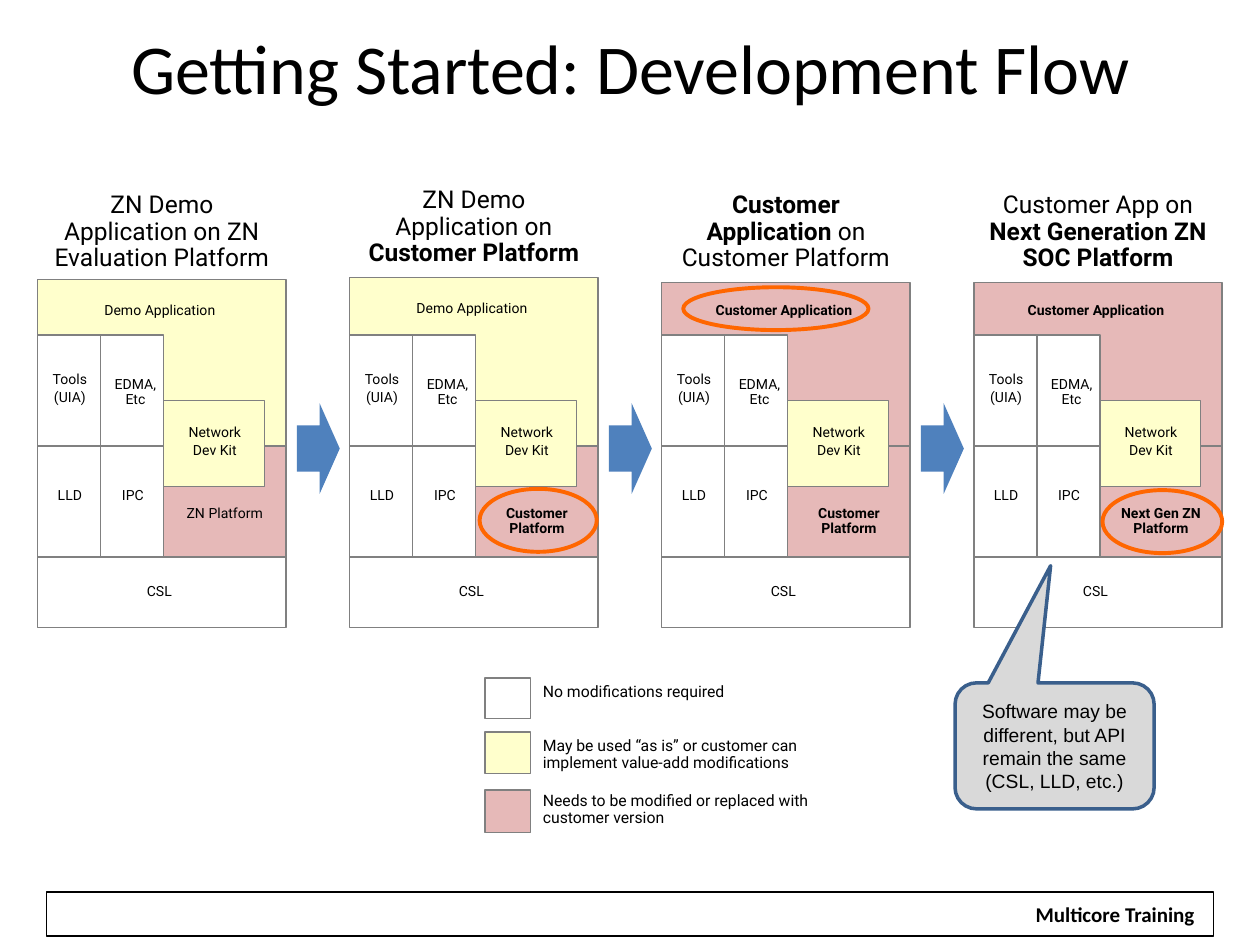
from dataclasses import dataclass

from pptx import Presentation
from pptx.dml.color import RGBColor
from pptx.enum.shapes import MSO_SHAPE as Shape
from pptx.enum.text import MSO_ANCHOR as Anchor, PP_ALIGN as Align
from pptx.util import Inches, Pt


@dataclass(frozen=True)
class Theme:
    black: str = "000000"
    white: str = "FFFFFF"
    yellow: str = "FFFFCC"
    pink: str = "E6B9B8"
    grey: str = "808080"
    blue: str = "4F81BD"
    orange: str = "FF6600"
    note: str = "D9D9D9"
    note_line: str = "3A5F8C"
    title: tuple = ("Calibri", 40)
    footer: tuple = ("Calibri", 12)
    heading: tuple = ("Roboto", 14)
    label: tuple = ("Roboto", 8)
    legend: tuple = ("Roboto", 9)
    callout: tuple = ("Arial", 11)


T = Theme()

# Stack grid: offsets of columns from a stack's left edge, rows from the slide top
LEFT, PITCH = 0.3, 7.43 / 3
COL, ROW, TOP = 0.5, 0.88, 2.66
WIDTH = 1.97
ROWS = [TOP + ROW * i for i in range(3)]

STACKS = [
    dict(heading=[("ZN Demo Application on ZN Evaluation Platform", False)],
         heading_y=1.48, app="Demo Application", app_y=2.22, app_h=2.2,
         app_fill=T.yellow, app_bold=False, app_text_y=2.36,
         platform="ZN Platform", platform_bold=False, ring=None),
    dict(heading=[("ZN Demo Application on ", False), ("Customer Platform", True)],
         heading_y=1.44, app="Demo Application", app_y=2.2, app_h=2.2,
         app_fill=T.yellow, app_bold=False, app_text_y=2.34,
         platform="Customer Platform", platform_bold=True,
         ring=(1.03, 3.88, 0.93, 0.5)),
    dict(heading=[("Customer Application", True), (" on Customer Platform", False)],
         heading_y=1.48, app="Customer Application", app_y=2.24, app_h=1.3,
         app_fill=T.pink, app_bold=True, app_text_y=2.36,
         platform="Customer Platform", platform_bold=True,
         ring=(0.17, 2.28, 1.47, 0.34)),
    dict(heading=[("Customer App on ", False),
                  ("Next Generation ZN SOC Platform", True)],
         heading_y=1.48, app="Customer Application", app_y=2.24, app_h=1.3,
         app_fill=T.pink, app_bold=True, app_text_y=2.36,
         platform="Next Gen ZN Platform", platform_bold=True,
         ring=(1.02, 3.89, 0.95, 0.5)),
]

LEGEND = [  # swatch top, swatch height, text top, fill, meaning
    (5.38, 0.32, 5.38, T.white, "No modifications required"),
    (5.81, 0.33, 5.81, T.yellow,
     "May be used “as is” or customer can implement value-add modifications"),
    (6.27, 0.34, 6.24, T.pink,
     "Needs to be modified or replaced with customer version"),
]


def rgb(value):
    return RGBColor.from_string(value)


def add_block(shapes, box, fill=None, line=None, width=0.75, kind=Shape.RECTANGLE,
              adjust=()):
    sp = shapes.add_shape(kind, *map(Inches, box))
    sp.shadow.inherit = False
    for i, value in enumerate(adjust):
        sp.adjustments[i] = value
    if fill:
        sp.fill.solid()
        sp.fill.fore_color.rgb = rgb(fill)
    else:
        sp.fill.background()
    if line:
        sp.line.color.rgb = rgb(line)
        sp.line.width = Pt(width)
    else:
        sp.line.fill.background()
    return sp


def write(sp, paragraphs, style, align=Align.CENTER, spacing=None, anchor=Anchor.TOP,
          wrap=True):
    """Fill a shape with paragraphs, each a list of (text, bold) runs."""
    tf = sp.text_frame
    for name, value in dict(word_wrap=wrap, vertical_anchor=anchor).items():
        setattr(tf, name, value)
    name, size = style
    for i, runs in enumerate(paragraphs):
        p = tf.add_paragraph() if i else tf.paragraphs[0]
        p.alignment = align
        if spacing:
            p.line_spacing = spacing
        if i:
            p.space_before = Pt(size * 0.2)
        for text, bold in runs:
            r = p.add_run()
            r.text = text
            for key, value in dict(name=name, size=Pt(size), bold=bold).items():
                setattr(r.font, key, value)
            r.font.color.rgb = rgb(T.black)


def add_text(shapes, box, paragraphs, style, **options):
    write(shapes.add_textbox(*map(Inches, box)), paragraphs, style, **options)


def add_label(shapes, box, *lines, bold=False):
    add_text(shapes, box, [[(line, bold)] for line in lines], T.label, spacing=0.9)


def add_stack(shapes, x, stack):
    """Draw one software stack with its heading."""
    def block(dx, y, w, h, fill):
        add_block(shapes, (x + dx, y, w, h), fill, T.grey)

    def label(dx, y, w, h, *lines, bold=False):
        add_label(shapes, (x + dx, y, w, h), *lines, bold=bold)

    upper, lower, base = ROWS
    half = 2 * COL
    block(0, stack["app_y"], WIDTH, stack["app_h"], stack["app_fill"])
    block(0, base, WIDTH, 0.56, T.white)
    label(0, 4.59, 1.93, 0.22, "CSL")
    block(half, lower, WIDTH - half, ROW, T.pink)
    label(half, 3.97, WIDTH - half, 0.34, stack["platform"],
          bold=stack["platform_bold"])
    block(half, 3.18, 0.8, 0.68, T.yellow)
    label(half, 3.33, 0.81, 0.37, "Network", "Dev Kit")
    for y in (lower, upper):
        for dx in (COL, 0):
            block(dx, y, COL, ROW, T.white)
    label(COL, 3.83, 0.51, 0.22, "IPC")
    label(0, 3.83, 0.51, 0.22, "LLD")
    label(COL, 2.95, 0.55, 0.34, "EDMA, Etc")
    label(0, 2.91, 0.51, 0.37, "Tools", "(UIA)")
    label(-0.03, stack["app_text_y"], 2, 0.22, stack["app"], bold=stack["app_bold"])
    add_text(shapes, (x, stack["heading_y"], WIDTH, 0.73), [stack["heading"]],
             T.heading, spacing=0.9)
    if stack["ring"]:
        dx, y, w, h = stack["ring"]
        add_block(shapes, (x + dx, y, w, h), line=T.orange, width=2.25,
                  kind=Shape.OVAL)


def add_step_arrow(shapes, x):
    add_block(shapes, (x - 0.42, 3.2, 0.34, 0.72), T.blue, kind=Shape.RIGHT_ARROW,
              adjust=(0.51, 0.47))


def add_legend(shapes):
    for y, h, text_y, fill, meaning in LEGEND:
        add_block(shapes, (3.85, y, 0.36, h), fill, T.grey)
        add_text(shapes, (4.21, text_y, 2.35, 0.38), [[(meaning, False)]], T.legend,
                 align=Align.LEFT, spacing=0.9)


def add_footer(shapes):
    add_block(shapes, (0.37, 7.08, 9.26, 0.35), line=T.black)
    sp = add_block(shapes, (8.11, 7.11, 1.48, 0.3), T.white)
    write(sp, [[("Multicore Training", True)]], T.footer, wrap=False)


def add_callout(shapes):
    sp = add_block(shapes, (7.58, 5.42, 1.58, 1), T.note, T.note_line, 2,
                   Shape.ROUNDED_RECTANGULAR_CALLOUT, (-0.02, -1.43, 0.17))
    note = "Software may be different, but API remain the same (CSL, LLD, etc.)"
    write(sp, [[(note, False)]], T.callout, anchor=Anchor.MIDDLE)


def main():
    prs = Presentation()
    prs.slide_width, prs.slide_height = Inches(10), Inches(7.5)
    s = prs.slides.add_slide(prs.slide_layouts[6])
    add_footer(s.shapes)
    add_legend(s.shapes.add_group_shape().shapes)
    for i, stack in enumerate(STACKS):
        x = LEFT + PITCH * i
        group = s.shapes.add_group_shape().shapes
        if i:
            add_step_arrow(group, x)
        add_stack(group, x, stack)
    add_callout(s.shapes)
    add_text(s.shapes, (0.17, 0.08, 9.67, 0.89),
             [[("Getting Started: Development Flow", False)]], T.title,
             anchor=Anchor.MIDDLE)
    prs.save("out.pptx")


if __name__ == "__main__":
    main()
